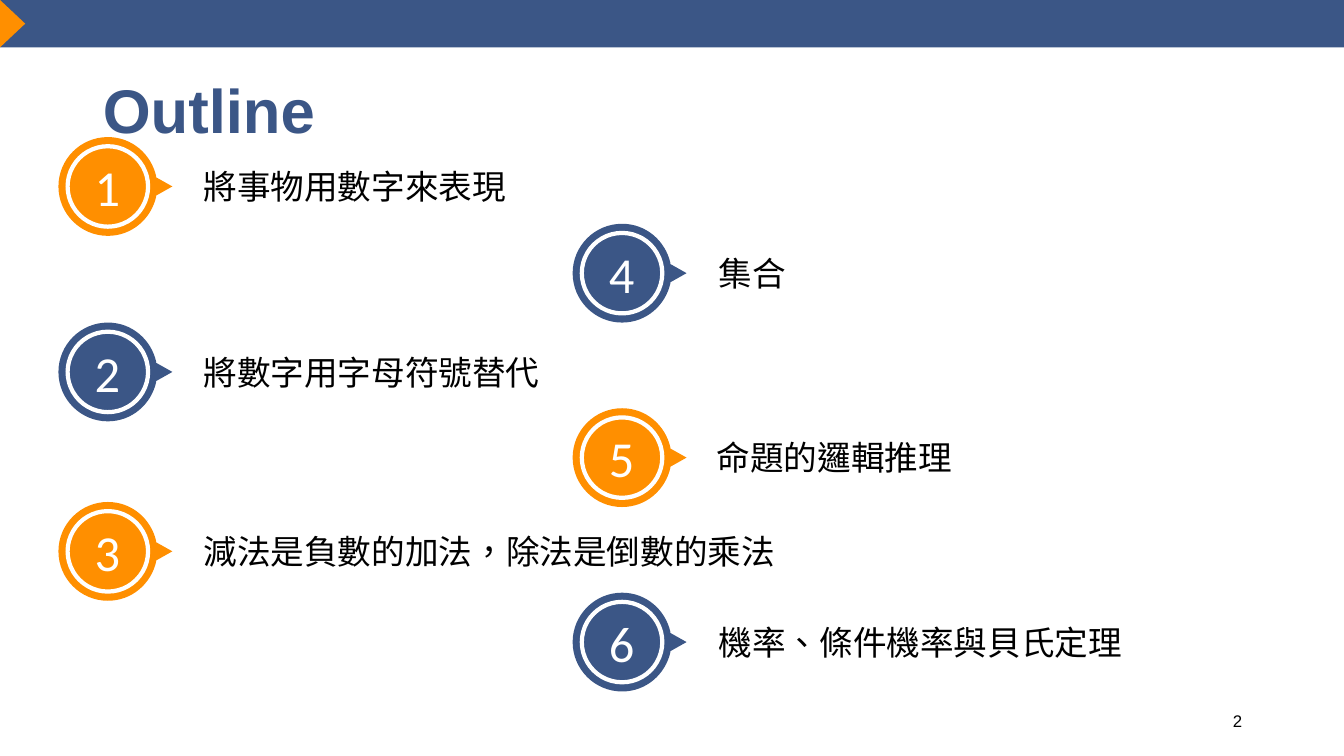
from pptx import Presentation
from pptx.dml.color import RGBColor
from pptx.enum.shapes import MSO_SHAPE
from pptx.enum.text import MSO_ANCHOR, MSO_AUTO_SIZE, PP_ALIGN
from pptx.oxml.ns import qn
from pptx.util import Inches, Pt

BLUE, ORANGE, WHITE, BLACK = "3B5686", "FF8F00", "FFFFFF", "000000"


def paint(sp, color):
    sp.shadow.inherit = False
    sp.fill.solid()
    sp.fill.fore_color.rgb = RGBColor.from_string(color)
    sp.line.fill.background()


def write(sp, text, size, font, color, bold=False, align=PP_ALIGN.LEFT,
          anchor=MSO_ANCHOR.TOP, wrap=False, lang="en-US"):
    tf = sp.text_frame
    tf.word_wrap = wrap
    tf.auto_size = MSO_AUTO_SIZE.NONE if wrap else MSO_AUTO_SIZE.SHAPE_TO_FIT_TEXT
    tf.vertical_anchor = anchor
    p = tf.paragraphs[0]
    p.alignment = align
    r = p.add_run()
    r.text = text
    r.font.size = Pt(size)
    r.font.bold = bold
    r.font.name = font
    r.font.color.rgb = RGBColor.from_string(color)
    props = r.font._element
    props.set("lang", lang)
    props.find(qn("a:latin")).addnext(props.makeelement(qn("a:ea"), {"typeface": font}))
    return p


prs = Presentation()
prs.slide_width, prs.slide_height = Inches(13.33), Inches(7.5)
s = prs.slides.add_slide(prs.slide_layouts[5])
shapes = s.shapes

# Header band with its arrow
header = shapes.add_group_shape().shapes
band = header.add_shape(MSO_SHAPE.RECTANGLE, 0, 0, prs.slide_width, Inches(0.47))
paint(band, BLUE)
arrow = header.add_shape(MSO_SHAPE.ISOSCELES_TRIANGLE, Inches(-0.11), Inches(0.11),
                         Inches(0.47), Inches(0.25))
arrow.rotation = 90
paint(arrow, ORANGE)

title = shapes.title
title.left, title.top = Inches(0.92), Inches(0.4)
title.width, title.height = Inches(11.5), Inches(1.45)
p = write(title, "Outline", 44, "Arial", BLUE, bold=True,
          anchor=MSO_ANCHOR.MIDDLE, wrap=True)
p.line_spacing = 0.9

# Numbered badges: centre x, centre y, colour, label left, label width, label
topics = [
    (1.07, 1.85, ORANGE, 1.92, 3.23, "將事物用數字來表現"),
    (1.07, 3.69, BLUE, 1.92, 3.57, "將數字用字母符號替代"),
    (1.07, 5.47, ORANGE, 1.92, 5.92, "減法是負數的加法，除法是倒數的乘法"),
    (6.17, 2.71, BLUE, 7.03, 0.88, "集合"),
    (6.17, 4.54, ORANGE, 7.01, 2.56, "命題的邏輯推理"),
    (6.17, 6.37, BLUE, 7.03, 4.24, "機率、條件機率與貝氏定理"),
]
# Badge outline around its centre, clockwise from the top; each curve
# takes three points, starting at the indexes in curve_starts
badge_points = [
    (0.24, -0.49), (0.43, -0.32), (0.48, -0.1),
    (0.48, -0.09), (0.64, 0), (0.48, 0.09), (0.48, 0.1),
    (0.43, 0.32), (0.24, 0.49), (0, 0.49),
    (-0.27, 0.49), (-0.49, 0.27), (-0.49, 0),
    (-0.49, -0.27), (-0.27, -0.49), (0, -0.49),
]
curve_starts = (0, 7, 10, 13)

for number, (cx, cy, color, left, width, label) in enumerate(topics, 1):
    badge = shapes.add_group_shape().shapes
    builder = badge.build_freeform(Inches(cx), Inches(cy - 0.49))
    builder.add_line_segments([(Inches(cx + x), Inches(cy + y)) for x, y in badge_points])
    disc = builder.convert_to_shape()
    segments = list(disc._element.iter(qn("a:lnTo")))
    for start in curve_starts:
        curve = disc._element.makeelement(qn("a:cubicBezTo"), {})
        segments[start].addprevious(curve)
        for segment in segments[start:start + 3]:
            curve.append(segment[0])
            segment.getparent().remove(segment)
    paint(disc, color)

    ring = badge.add_shape(MSO_SHAPE.DONUT, Inches(cx - 0.42), Inches(cy - 0.42),
                           Inches(0.84), Inches(0.84))
    ring.adjustments[0] = 0.05
    paint(ring, WHITE)

    digit = shapes.add_textbox(Inches(cx - 0.23), Inches(cy - 0.35), Inches(0.46), Inches(0.71))
    write(digit, str(number), 36, "Calibri", WHITE)

    caption = shapes.add_textbox(Inches(left), Inches(cy - 0.25), Inches(width), Inches(0.5))
    write(caption, label, 24, "Noto Sans CJK SC", BLACK, lang="zh-TW")

page = shapes.add_textbox(Inches(9.42), Inches(6.95), Inches(3), Inches(0.4))
write(page, "2", 12, "Arial", BLACK, align=PP_ALIGN.RIGHT, anchor=MSO_ANCHOR.MIDDLE, wrap=True)

prs.save("out.pptx")
